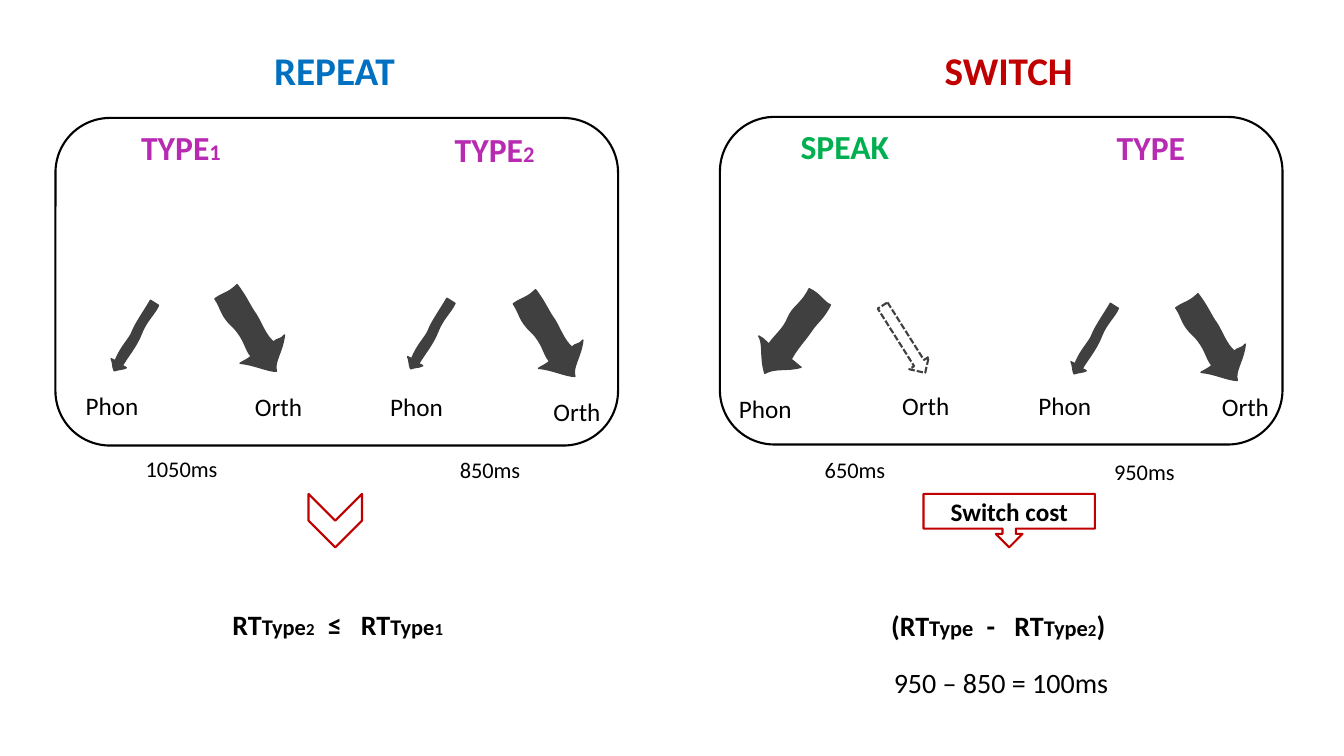
import math

from lxml import etree
from pptx import Presentation
from pptx.dml.color import RGBColor
from pptx.enum import dml, shapes, text
from pptx.oxml import ns
from pptx.util import Inches, Pt

BLACK = RGBColor(0x00, 0x00, 0x00)
WHITE = RGBColor(0xFF, 0xFF, 0xFF)
GREY = RGBColor(0x40, 0x40, 0x40)
BLUE = RGBColor(0x00, 0x70, 0xC0)
RED = RGBColor(0xC0, 0x00, 0x00)
GREEN = RGBColor(0x00, 0xB0, 0x50)
PURPLE = RGBColor(0xB8, 0x2A, 0xB1)

CENTER = text.PP_ALIGN.CENTER
LEFT = text.PP_ALIGN.LEFT
SHAPE = shapes.MSO_SHAPE

THICK_ARROW = [
    (2.36, 2.83), (2.46, 2.96), (2.49, 3.05), (2.55, 3.13),
    (2.60, 3.21), (2.64, 3.33), (2.72, 3.40), (2.76, 3.36), (2.79, 3.38), (2.83, 3.33),
    (2.81, 3.50), (2.72, 3.60), (2.75, 3.69), (2.66, 3.69), (2.52, 3.62), (2.39, 3.61),
    (2.42, 3.59), (2.47, 3.57), (2.50, 3.54), (2.44, 3.48), (2.44, 3.37), (2.32, 3.25),
    (2.19, 3.13), (2.21, 3.07), (2.14, 2.97), (2.20, 2.92), (2.27, 2.92), (2.36, 2.83),
]
THIN_ARROW = [
    (1.57, 3.03), (1.53, 3.12), (1.45, 3.18), (1.40, 3.31),
    (1.35, 3.44), (1.26, 3.54), (1.21, 3.63), (1.23, 3.63), (1.24, 3.65), (1.25, 3.65),
    (1.21, 3.67), (1.19, 3.66), (1.13, 3.68), (1.11, 3.64), (1.12, 3.60), (1.10, 3.56),
    (1.11, 3.56), (1.13, 3.58), (1.14, 3.58), (1.20, 3.43), (1.28, 3.37), (1.31, 3.29),
    (1.34, 3.21), (1.44, 3.07), (1.49, 2.98), (1.52, 2.99), (1.54, 3.02), (1.57, 3.03),
]
SPEECH_ARROW = [
    (8.24, 3.02), (8.17, 3.16), (8.11, 3.19), (8.05, 3.28),
    (7.99, 3.37), (7.91, 3.45), (7.85, 3.56), (7.88, 3.58), (7.92, 3.62), (7.95, 3.64),
    (7.81, 3.68), (7.69, 3.64), (7.59, 3.70), (7.54, 3.54), (7.58, 3.41), (7.53, 3.33),
    (7.59, 3.36), (7.60, 3.39), (7.63, 3.41), (7.69, 3.32), (7.77, 3.27), (7.82, 3.15),
    (7.87, 3.03), (7.95, 3.02), (8.03, 2.86), (8.14, 2.91), (8.18, 3.00), (8.24, 3.02),
]


class Diagram:
    def __init__(self, page, font="Calibri"):
        self.page = page
        self.font = font

    def style_spans(self, para, spans, color, bold):
        for words, size in spans:
            span = para.add_run()
            span.text = words
            span.font.name = self.font
            span.font.size = Pt(size)
            span.font.bold = bold
            span.font.color.rgb = color

    def label(self, left, top, width, height, spans, color=BLACK, bold=False, align=CENTER, wrap=True):
        box = self.page.shapes.add_textbox(Inches(left), Inches(top), Inches(width), Inches(height))
        frame = box.text_frame
        frame.word_wrap = wrap
        frame.auto_size = text.MSO_AUTO_SIZE.SHAPE_TO_FIT_TEXT
        para = frame.paragraphs[0]
        para.alignment = align
        self.style_spans(para, spans, color, bold)

    def shape(self, kind, left, top, width, height, line, fill=None, rotation=0):
        shape = self.page.shapes.add_shape(kind, Inches(left), Inches(top), Inches(width), Inches(height))
        shape.rotation = rotation
        shape.shadow.inherit = False
        if fill is None:
            shape.fill.background()
        else:
            shape.fill.solid()
            shape.fill.fore_color.rgb = fill
        shape.line.color.rgb = line
        shape.line.width = Pt(1.5)
        return shape

    def callout(self, left, top, width, height, words):
        shape = self.shape(SHAPE.DOWN_ARROW_CALLOUT, left, top, width, height, RED, WHITE)
        frame = shape.text_frame
        frame.vertical_anchor = text.MSO_ANCHOR.MIDDLE
        para = frame.paragraphs[0]
        para.alignment = CENTER
        self.style_spans(para, [(words, 18)], BLACK, True)

    def sketched_arrow(self, outline, center, rotation, shift=(0, 0)):
        cos, sin = math.cos(math.radians(rotation)), math.sin(math.radians(rotation))
        points = []
        for x, y in outline:
            dx, dy = x - center[0], y - center[1]
            points.append((Inches(center[0] + shift[0] + dx * cos + dy * sin),
                           Inches(center[1] + shift[1] - dx * sin + dy * cos)))
        builder = self.page.shapes.build_freeform(*points[0])
        builder.add_line_segments(points[3::3], close=True)
        arrow = builder.convert_to_shape()
        self.bend_segments(arrow, points)
        arrow.rotation = rotation
        arrow.shadow.inherit = False
        arrow.fill.solid()
        arrow.fill.fore_color.rgb = GREY
        arrow.line.color.rgb = GREY
        arrow.line.width = Pt(1)

    def bend_segments(self, arrow, points):
        segments = list(arrow._element.iter(ns.qn("a:lnTo")))
        for i, segment in enumerate(segments):
            curve = etree.Element(ns.qn("a:cubicBezTo"))
            for x, y in points[3 * i + 1:3 * i + 4]:
                etree.SubElement(curve, ns.qn("a:pt"), x=str(x - arrow.left), y=str(y - arrow.top))
            segment.getparent().replace(segment, curve)


def main():
    deck = Presentation()
    deck.slide_width, deck.slide_height = Inches(13.33), Inches(7.5)
    diagram = Diagram(deck.slides.add_slide(deck.slide_layouts[6]))

    diagram.sketched_arrow(SPEECH_ARROW, (7.86, 3.32), 125.8)

    for left, top in ((0.55, 1.17), (7.14, 1.16)):
        diagram.shape(SHAPE.ROUNDED_RECTANGLE, left, top, 5.58, 3.25, BLACK)

    for left, width, words, color in ((2.62, 1.41, "REPEAT", BLUE), (9.27, 1.49, "SWITCH", RED)):
        diagram.label(left, 0.41, width, 0.57, [(words, 28)], color, True, LEFT, False)

    for left, top, width, spans, color in (
        (1.16, 1.21, 1.27, [("TYPE", 24), ("1", 16)], PURPLE),
        (4.27, 1.23, 1.27, [("TYPE", 24), ("2", 16)], PURPLE),
        (7.51, 1.2, 1.74, [("SPEAK", 24)], GREEN),
        (10.78, 1.21, 1.27, [("TYPE", 24)], PURPLE),
    ):
        diagram.label(left, top, width, 0.5, spans, color, True)

    for words, places in (
        ("Phon", ((0.75, 3.82), (3.77, 3.83), (7.23, 3.85), (10.2, 3.82))),
        ("Orth", ((2.43, 3.83), (5.39, 3.88), (8.85, 3.82), (12.02, 3.83))),
    ):
        for left, top in places:
            diagram.label(left, top, 0.75, 0.4, [(words, 18)], align=LEFT)

    for shift in ((0, 0), (2.96, 0.05), (9.53, 0.09)):
        diagram.sketched_arrow(THICK_ARROW, (2.49, 3.3), 57.7, shift)
    for shift in ((0, 0), (2.94, -0.02), (9.52, 0.03)):
        diagram.sketched_arrow(THIN_ARROW, (1.33, 3.34), 120.3, shift)
    weak_arrow = diagram.shape(SHAPE.RIGHT_ARROW, 8.57, 3.25, 0.79, 0.23, GREY, rotation=57.7)
    weak_arrow.line.dash_style = dml.MSO_LINE.SQUARE_DOT

    for left, top, words in (
        (1.19, 4.47, "1050ms"), (4.25, 4.48, "850ms"), (7.87, 4.48, "650ms"), (10.74, 4.5, "950ms"),
    ):
        diagram.label(left, top, 1.22, 0.37, [(words, 16)])

    diagram.shape(SHAPE.CHEVRON, 3.06, 4.9, 0.53, 0.53, RED, WHITE, 90)
    diagram.callout(9.16, 4.9, 1.7, 0.53, "Switch cost")

    repeat_rule = [("RT", 20), ("Type", 16), ("2", 12), ("   ", 14), ("≤   RT", 20), ("Type", 16), ("1", 12)]
    switch_rule = [("(RT", 20), ("Type", 16), ("   ", 14), ("-   RT", 20), ("Type", 16), ("2", 12), (")", 20)]
    diagram.label(1.8, 5.98, 3.1, 0.44, repeat_rule, bold=True)
    diagram.label(8.35, 5.99, 3.1, 0.44, switch_rule, bold=True)
    diagram.label(8.38, 6.55, 3.1, 0.44, [("950 – 850 = 100ms", 20)])

    deck.save("out.pptx")


if __name__ == "__main__":
    main()
